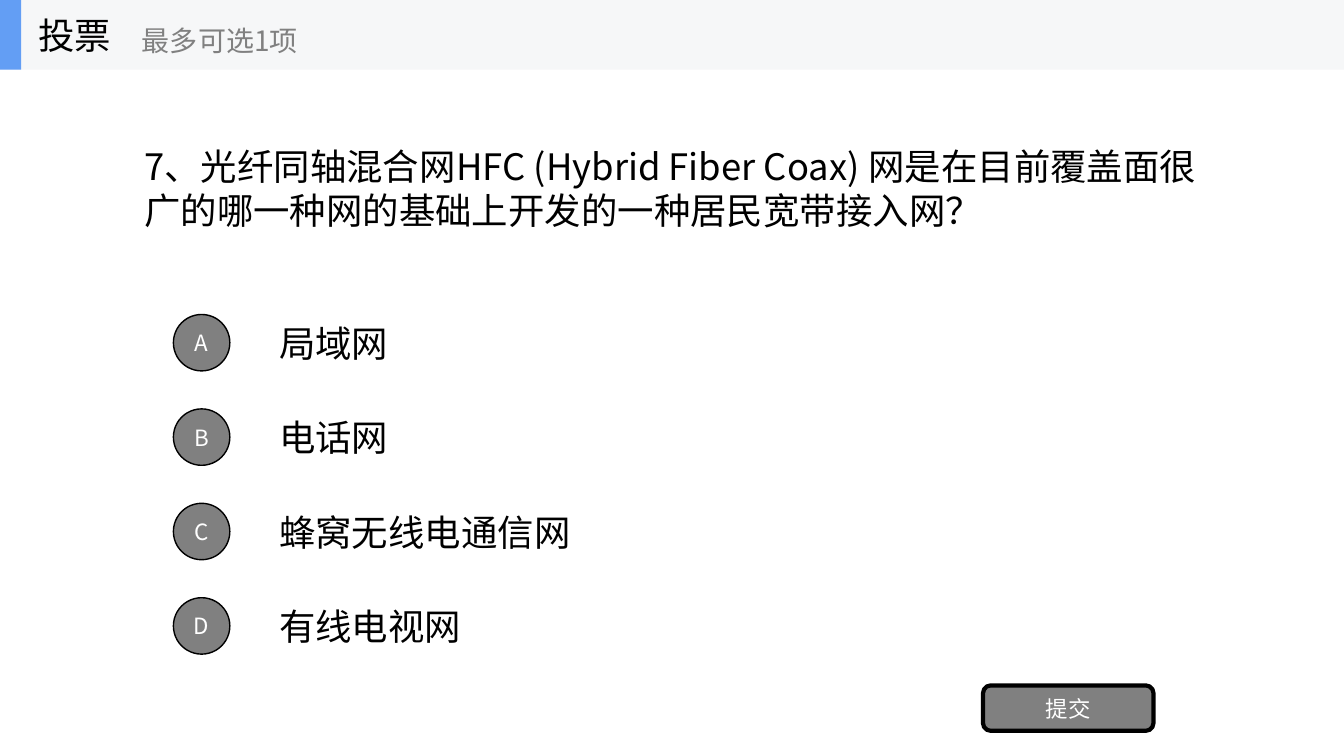
from dataclasses import dataclass

from lxml import etree
from pptx import Presentation
from pptx.dml.color import RGBColor
from pptx.enum.shapes import MSO_SHAPE as SHAPE
from pptx.enum.text import MSO_ANCHOR as ANCHOR, PP_ALIGN as ALIGN
from pptx.oxml.ns import qn
from pptx.util import Inches, Pt


@dataclass(frozen=True)
class Theme:
    font: str = "Noto Sans CJK SC"
    ink: str = "000000"
    white: str = "FFFFFF"
    gray: str = "808080"
    band: str = "F6F7F8"
    accent: str = "639EF4"
    body: float = 26
    hint: float = 20
    label: float = 16
    leading: float = 31.5


T = Theme()
QUESTION = ("7、光纤同轴混合网HFC (Hybrid Fiber Coax) 网是在目前覆盖面"
            "很广的哪一种网的基础上开发的一种居民宽带接入网？")
OPTIONS = ["局域网", "电话网", "蜂窝无线电通信网", "有线电视网"]


def write(sp, text, size, color, align=ALIGN.LEFT, wrap=True):
    tf = sp.text_frame
    tf.word_wrap = wrap
    tf.vertical_anchor = ANCHOR.MIDDLE
    p = tf.paragraphs[0]
    p.alignment = align
    r = p.add_run()
    r.text = text
    r.font.size = Pt(size)
    r.font.color.rgb = RGBColor.from_string(color)
    r.font.name = T.font
    ea = etree.SubElement(r.font._element, qn("a:ea"))
    ea.set("typeface", T.font)
    return p


def add_text(shapes, box, text, size, color, wrap=True):
    sp = shapes.add_textbox(*map(Inches, box))
    write(sp, text, size, color, wrap=wrap)


def add_block(shapes, kind, box, fill, line=0):
    sp = shapes.add_shape(kind, *map(Inches, box))
    sp.shadow.inherit = False
    sp.fill.solid()
    sp.fill.fore_color.rgb = RGBColor.from_string(fill)
    if line:
        sp.line.color.rgb = RGBColor.from_string(T.ink)
        sp.line.width = Pt(line)
    else:
        sp.line.fill.background()
    return sp


def add_button(shapes, kind, box, text, line):
    sp = add_block(shapes, kind, box, T.gray, line)
    tf = sp.text_frame
    tf.margin_left = tf.margin_right = tf.margin_top = tf.margin_bottom = 0
    write(sp, text, T.label, T.white, ALIGN.CENTER)


def add_header(s, x, y, w, h):
    shapes = s.shapes.add_group_shape().shapes
    add_block(shapes, SHAPE.RECTANGLE, (x, y, w, h), T.band)
    add_block(shapes, SHAPE.RECTANGLE, (x, y, 0.21, h), T.accent)
    add_text(shapes, (x + 0.28, y, 2.08, h), "投票", T.body, T.ink, False)
    add_text(shapes, (x + 1.31, y + 0.12, 2.5, 0.56), "最多可选1项",
             T.hint, T.gray, False)


def add_question(s, x, y, w, h):
    title = s.shapes.title
    title.left, title.top, title.width, title.height = map(Inches, (x, y, w, h))
    p = write(title, QUESTION, T.body, T.ink)
    p.line_spacing = Pt(T.leading)


def add_options(s, x, y, w, h):
    row_h, dot = 0.7, 0.56
    pitch = (h - row_h) / (len(OPTIONS) - 1)
    for i, option in enumerate(OPTIONS):
        top = y + i * pitch
        add_text(s.shapes, (x + 0.95, top, w - 0.95, row_h), option, T.body, T.ink)
        add_button(s.shapes, SHAPE.OVAL, (x, top + (row_h - dot) / 2, dot, dot),
                   "ABCD"[i], 1)


def main():
    prs = Presentation()
    prs.slide_width, prs.slide_height = Inches(13.33), Inches(7.5)
    s = prs.slides.add_slide(prs.slide_layouts[5])

    # Question and its choices
    add_question(s, 1.33, 0.69, 10.67, 2.34)
    add_options(s, 1.72, 3.05, 10.28, 3.51)

    # Submit button
    add_button(s.shapes, SHAPE.ROUNDED_RECTANGLE, (9.75, 6.8, 1.69, 0.45), "提交", 3)

    # Header band
    add_header(s, 0, 0, 13.33, 0.69)
    prs.save("out.pptx")


if __name__ == "__main__":
    main()
